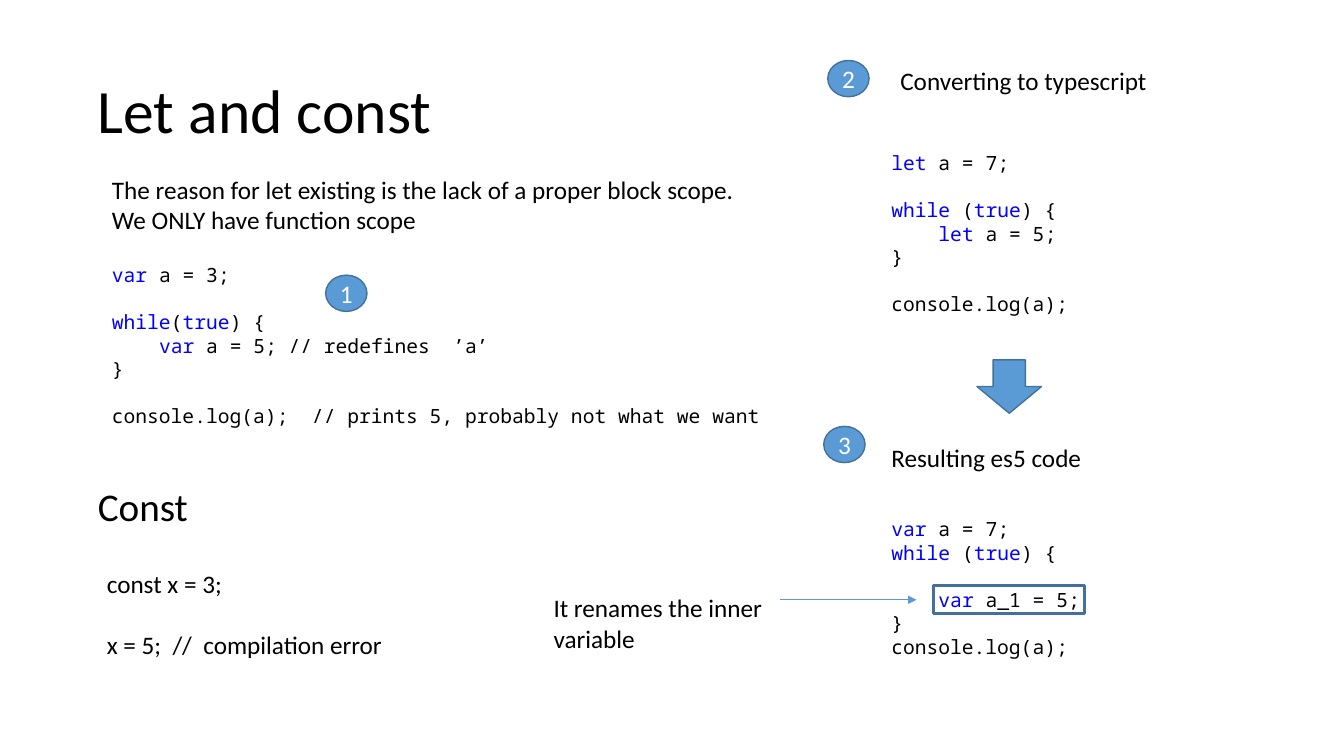
import lxml.etree
import pptx
import pptx.dml.color
import pptx.enum.shapes
import pptx.enum.text
import pptx.oxml.ns
import pptx.util
from pptx.util import Inches

# Content: in code lines, "|" switches the keyword colour on and off;
# None marks an open line before the next one
TITLE = "Let and const"

PROSE = [  # left, top, width, height, size, lines
    (1.06, 1.68, 7.25, 0.68, 18,
     ["The reason for let existing is the lack of a proper block scope.",
      "We ONLY have function scope"]),
    (8.88, 0.6, 2.84, 0.39, 18, ["Converting to typescript"]),
    (8.79, 4.34, 2.18, 0.39, 18, ["Resulting es5 code"]),
    (5.44, 5.83, 2.48, 0.68, 18, ["It renames the inner", "variable"]),
    (0.92, 4.74, 1.3, 0.54, 28, ["Const"]),
    (1.01, 5.59, 4.3, 0.98, 18,
     ["const x = 3;", None, "x = 5;  //  compilation error"]),
]

CODE = [  # left, top, width, height, lines
    (1.06, 2.56, 6.67, 1.75,
     ["|var| a = 3;", None, "|while|(|true|) {",
      "    |var| a = 5; // redefines  ’a’", "}", None,
      "console.log(a);  // prints 5, probably not what we want"]),
    (8.79, 1.45, 4.4, 1.75,
     ["|let| a = 7;", None, "|while| (|true|) {", "    |let| a = 5;", "}",
      None, "console.log(a);"]),
    (8.79, 5.08, 4.4, 1.52,
     ["|var| a = 7;", "|while| (|true|) {", None, "    |var| a_1 = 5;", "}",
      "console.log(a);"]),
]

STEPS = [("1", 3.23, 2.73), ("2", 8.21, 0.6), ("3", 8.17, 4.23)]

BLACK, WHITE, KEYWORD = "000000", "FFFFFF", "0000FF"
BLUE, OUTLINE = "5B9BD5", "42719B"
SANS, MONO = "Calibri", "Noto Sans Mono"
CODE_SIZE, CODE_PITCH = 14, 16.8
SANS_PITCH = 1.22  # line height relative to text size
INSET = 0.05


def colour(value):
    return pptx.dml.color.RGBColor.from_string(value)


def set_frame(frame, **formats):
    margins = dict.fromkeys(
        ("margin_left", "margin_top", "margin_right", "margin_bottom"),
        Inches(INSET))
    for name, value in {"word_wrap": True, **margins, **formats}.items():
        setattr(frame, name, value)


def add_run(paragraph, text, size, font, ink):
    run = paragraph.add_run()
    run.text = text
    for name, value in {"size": pptx.util.Pt(size), "name": font, "bold": False}.items():
        setattr(run.font, name, value)
    run.font.color.rgb = colour(ink)


def add_lines(box, lines, size, font, open_line, pitch=None):
    frame = slide.shapes.add_textbox(*map(Inches, box)).text_frame
    set_frame(frame)
    paragraph, gap = frame.paragraphs[0], 0
    for number, line in enumerate(lines):
        if line is None:
            gap = open_line
            continue
        if number:
            paragraph = frame.add_paragraph()
            paragraph.space_before = pptx.util.Pt(gap)
            gap = 0
        if pitch:
            paragraph.line_spacing = pptx.util.Pt(pitch)
        for part, text in enumerate(line.split("|")):
            if text:
                add_run(paragraph, text, size, font, KEYWORD if part % 2 else BLACK)


def add_shape(kind, box, fill, line_width):
    shape = slide.shapes.add_shape(kind, *map(Inches, box))
    shape.shadow.inherit = False
    shape.fill.solid()
    shape.fill.fore_color.rgb = colour(fill)
    shape.line.color.rgb = colour(OUTLINE)
    shape.line.width = pptx.util.Pt(line_width)
    return shape


presentation = pptx.Presentation()
presentation.slide_width = Inches(13.33)
presentation.slide_height = Inches(7.5)
slide = presentation.slides.add_slide(presentation.slide_layouts[5])
shape_kinds = pptx.enum.shapes.MSO_SHAPE
middle = pptx.enum.text.MSO_ANCHOR.MIDDLE

# Title
title = slide.shapes.title
for side, length in zip(("left", "top", "width", "height"), (0.92, 0.4, 11.5, 1.45)):
    setattr(title, side, Inches(length))
set_frame(title.text_frame, vertical_anchor=middle,
          auto_size=pptx.enum.text.MSO_AUTO_SIZE.NONE)
heading = title.text_frame.paragraphs[0]
heading.alignment = pptx.enum.text.PP_ALIGN.LEFT
heading.line_spacing = 0.9
add_run(heading, TITLE, 44, SANS, BLACK)

# Frame behind the renamed variable
add_shape(shape_kinds.RECTANGLE, (9.26, 5.81, 1.5, 0.28), WHITE, 2.25)

# Explanations and code
for *box, size, lines in PROSE:
    add_lines(box, lines, size, SANS, size * SANS_PITCH)
for *box, lines in CODE:
    add_lines(box, lines, CODE_SIZE, MONO, CODE_PITCH, CODE_PITCH)

# Arrow from TypeScript to the result
add_shape(shape_kinds.DOWN_ARROW, (9.69, 3.57, 0.64, 0.53), BLUE, 1)

# Pointer to the renamed variable
pointer = slide.shapes.add_connector(
    pptx.enum.shapes.MSO_CONNECTOR.STRAIGHT,
    *map(Inches, (7.74, 5.95, 9.09, 5.95)))
pointer.line.color.rgb = colour(BLUE)
pointer.line.width = pptx.util.Pt(0.5)
pointer_format = pointer._element.spPr
pointer_line = pointer_format.find(pptx.oxml.ns.qn("a:ln"))
lxml.etree.SubElement(pointer_line, pptx.oxml.ns.qn("a:tailEnd"), type="triangle")
lxml.etree.SubElement(pointer_format, pptx.oxml.ns.qn("a:effectLst"))

# Numbered steps
for number, left, top in STEPS:
    badge = add_shape(shape_kinds.OVAL, (left, top, 0.41, 0.36), BLUE, 1)
    set_frame(badge.text_frame, vertical_anchor=middle, margin_left=0,
              margin_top=0, margin_right=0, margin_bottom=0, word_wrap=False)
    label = badge.text_frame.paragraphs[0]
    label.alignment = pptx.enum.text.PP_ALIGN.CENTER
    add_run(label, number, 18, SANS, WHITE)

presentation.save("out.pptx")
